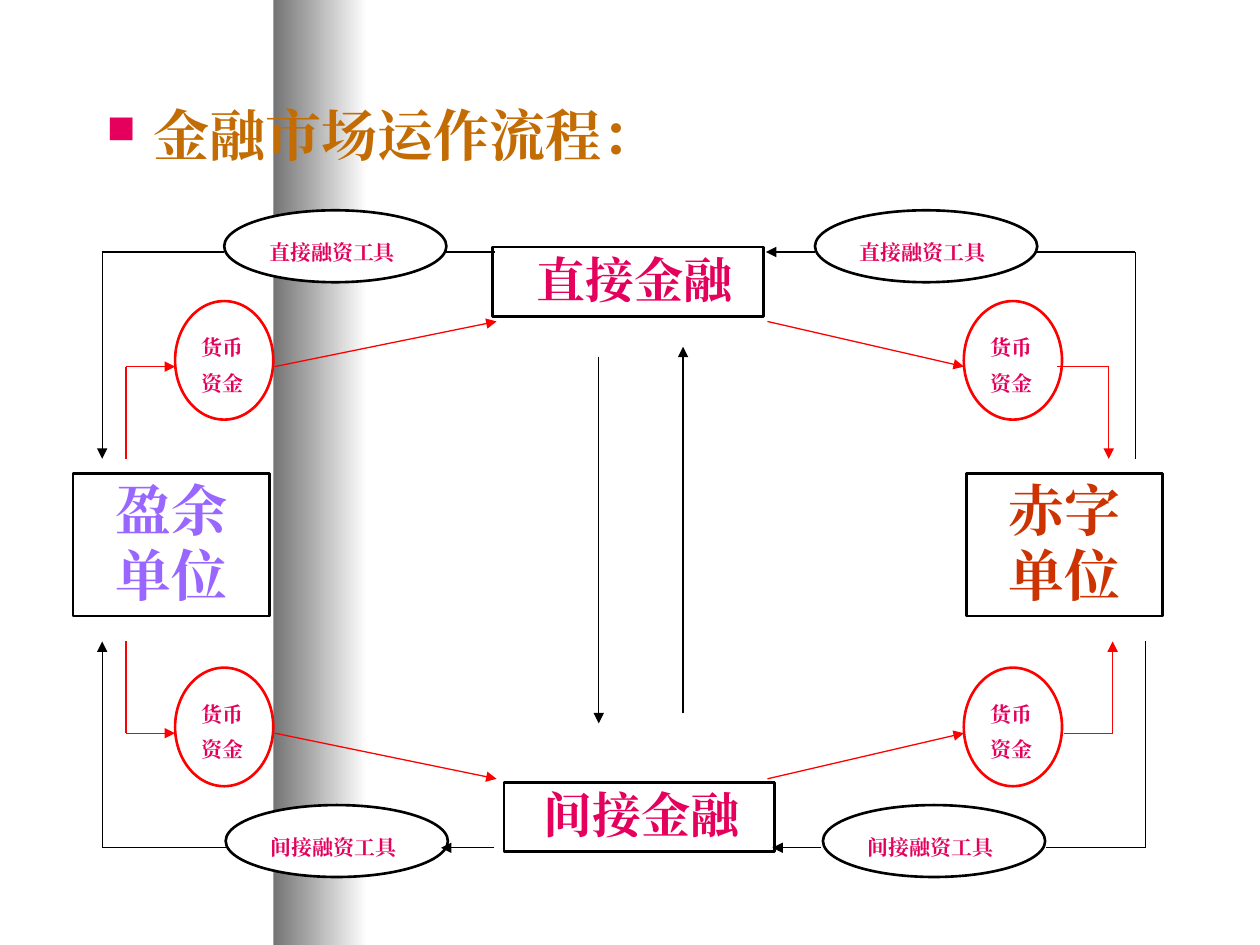
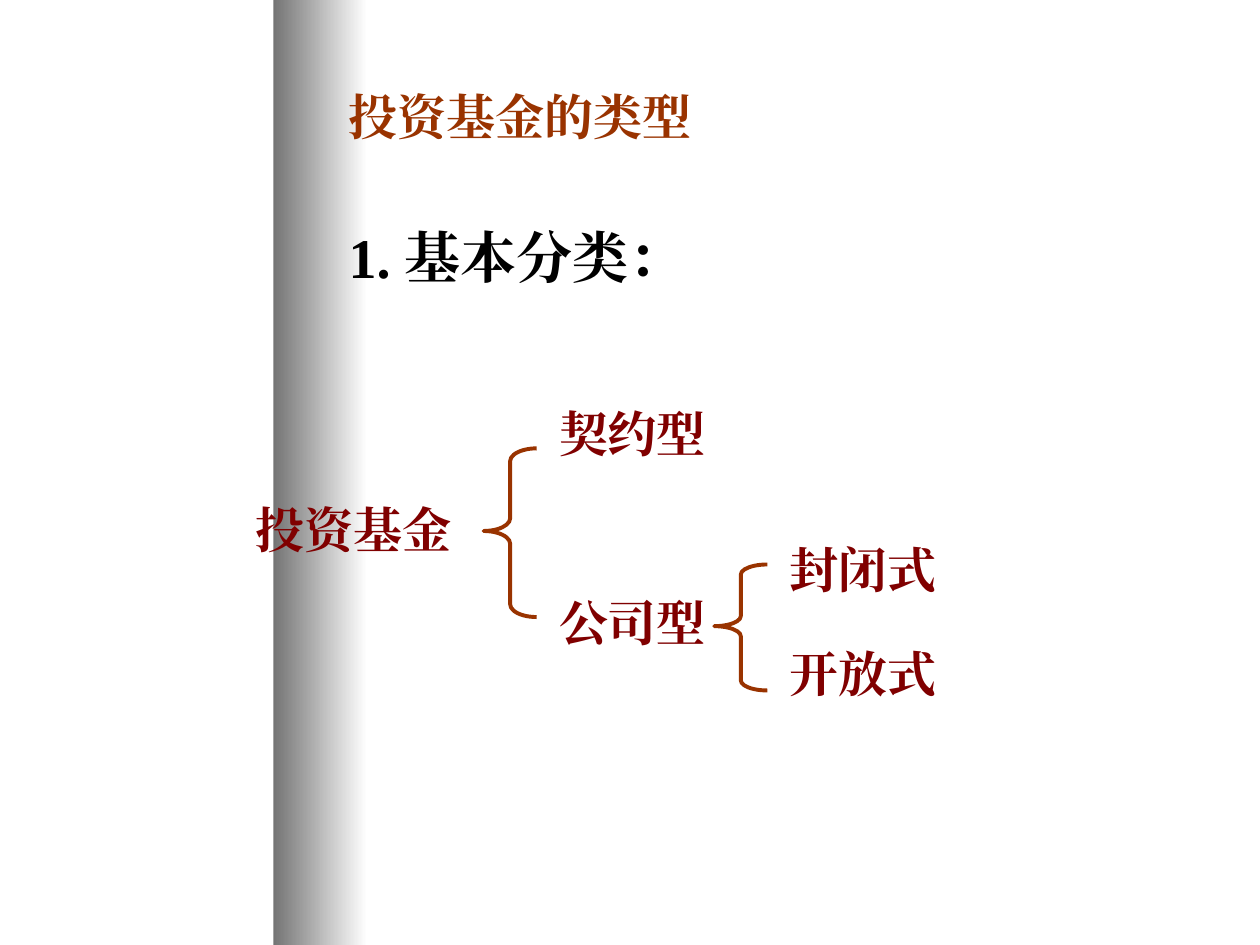
import pptx
import pptx.util
from lxml import etree
from pptx.dml.color import RGBColor
from pptx.enum.shapes import MSO_CONNECTOR, MSO_SHAPE
from pptx.enum.text import MSO_ANCHOR, PP_ALIGN
from pptx.oxml.ns import qn
from pptx.util import Cm

WHITE = RGBColor(0xFF, 0xFF, 0xFF)
BLACK = RGBColor(0x00, 0x00, 0x00)
BAND_GREY = RGBColor(0x74, 0x74, 0x74)
RED = RGBColor(0xFF, 0x00, 0x00)
PINK = RGBColor(0xE4, 0x00, 0x5C)
OCHRE = RGBColor(0xC3, 0x6C, 0x03)
VIOLET = RGBColor(0x99, 0x66, 0xFF)
BRICK = RGBColor(0xCC, 0x33, 0x00)
BROWN = RGBColor(0x99, 0x33, 0x00)
MAROON = RGBColor(0x80, 0x00, 0x00)

SERIF = "Times New Roman"
SANS = "Noto Sans CJK SC"
SLIDE_WIDTH, SLIDE_HEIGHT = 25.4, 19.05

UPPER_TOOL_Y, LOWER_TOOL_Y = 5.08, 17.09
UPPER_MONEY_Y, LOWER_MONEY_Y = 7.39, 14.78
UNIT_TOP, UNIT_BOTTOM = 9.25, 12.93


def write(frame, text, *, size, color, font=SERIF, align=PP_ALIGN.LEFT,
          spacing=None, anchor=MSO_ANCHOR.TOP, inset=0.25, bullet=None):
    """Fill a text frame, one paragraph per line of text."""
    frame.word_wrap = True
    frame.vertical_anchor = anchor
    frame.margin_left = Cm(inset)
    frame.margin_right = Cm(0.25)
    frame.margin_top = frame.margin_bottom = Cm(0.13)
    for number, line in enumerate(text.split("\n")):
        paragraph = frame.add_paragraph() if number else frame.paragraphs[0]
        paragraph.alignment = align
        if spacing:
            paragraph.line_spacing = spacing
        if bullet:
            add_bullet(paragraph, bullet)
        run = paragraph.add_run()
        run.text = line
        run.font.size = pptx.util.Pt(size)
        run.font.bold = True
        run.font.name = font
        run.font.color.rgb = color
        east_asian = etree.SubElement(run.font._element, qn("a:ea"))
        east_asian.set("typeface", SERIF)


def add_bullet(paragraph, color):
    properties = paragraph._p.get_or_add_pPr()
    properties.set("marL", str(Cm(0.95)))
    properties.set("indent", str(-Cm(0.95)))
    bullet_color = etree.SubElement(properties, qn("a:buClr"))
    etree.SubElement(bullet_color, qn("a:srgbClr")).set("val", str(color))
    etree.SubElement(properties, qn("a:buSzPct")).set("val", "70000")
    etree.SubElement(properties, qn("a:buChar")).set("char", "■")


def add_label(slide, left, top, width, height, text, **text_format):
    label = slide.shapes.add_textbox(Cm(left), Cm(top), Cm(width), Cm(height))
    write(label.text_frame, text, **text_format)


def add_node(slide, kind, left, top, width, height, text, outline=BLACK,
             **text_format):
    node = slide.shapes.add_shape(kind, Cm(left), Cm(top), Cm(width), Cm(height))
    node.shadow.inherit = False
    node.fill.solid()
    node.fill.fore_color.rgb = WHITE
    node.line.color.rgb = outline
    node.line.width = pptx.util.Pt(1.5)
    write(node.text_frame, text, **text_format)


def add_flow(slide, points, color, arrow=True):
    """Join the points with straight lines; the last may carry an arrowhead."""
    for start, end in zip(points, points[1:]):
        segment = slide.shapes.add_connector(
            MSO_CONNECTOR.STRAIGHT, *map(Cm, start), *map(Cm, end))
        segment.line.color.rgb = color
        segment.line.width = pptx.util.Pt(0.75)
        etree.SubElement(segment._element.spPr, qn("a:effectLst"))
    if arrow:
        head = etree.SubElement(segment.line._get_or_add_ln(), qn("a:tailEnd"))
        head.set("type", "triangle")


def add_brace(slide, left, top, height, curl, tip):
    brace = slide.shapes.add_shape(
        MSO_SHAPE.LEFT_BRACE, Cm(left), Cm(top), Cm(1.07), Cm(height))
    brace.shadow.inherit = False
    brace.adjustments[0] = curl
    brace.adjustments[1] = tip
    brace.fill.background()
    brace.line.color.rgb = BROWN
    brace.line.width = pptx.util.Pt(2.25)


def new_slide(deck):
    """Add a blank slide with the grey gradient band."""
    slide = deck.slides.add_slide(deck.slide_layouts[6])
    band = slide.shapes.add_shape(
        MSO_SHAPE.RECTANGLE, Cm(5.51), 0, Cm(1.9), Cm(SLIDE_HEIGHT))
    band.shadow.inherit = False
    band.line.fill.background()
    band.fill.gradient()
    band.fill.gradient_angle = 0
    for stop, position, color in zip(
            band.fill.gradient_stops, (0, 1), (BAND_GREY, WHITE)):
        stop.position = position
        stop.color.rgb = color
    return slide


def build_market_flow(deck):
    slide = new_slide(deck)
    add_label(slide, 1.9, 1.9, 21.6, 15.04, "金融市场运作流程：",
              size=32, color=OCHRE, font=SANS, bullet=PINK)

    for left, top, channel, inset in ((9.93, 4.98, "直接金融", 0.52),
                                      (10.16, 15.77, "间接金融", 0.32)):
        add_node(slide, MSO_SHAPE.RECTANGLE, left, top, 5.46, 1.4, channel,
                 size=28, color=PINK, align=PP_ALIGN.CENTER, spacing=0.96,
                 inset=inset)
    for left, unit, color in ((1.47, "盈余\n单位", VIOLET),
                              (19.48, "赤字\n单位", BRICK)):
        add_node(slide, MSO_SHAPE.RECTANGLE, left, 9.55, 3.96, 2.87, unit,
                 size=32, color=color, align=PP_ALIGN.CENTER, spacing=0.96)
    for left, top, tool in ((4.52, 4.24, "直接融资工具"),
                            (16.43, 4.24, "直接融资工具"),
                            (4.55, 16.23, "间接融资工具"),
                            (16.59, 16.23, "间接融资工具")):
        add_node(slide, MSO_SHAPE.OVAL, left, top, 4.48, 1.45, tool,
                 size=12, color=PINK, align=PP_ALIGN.JUSTIFY, spacing=1.5)
    for left in (3.53, 19.43):
        for top in (6.07, 13.46):
            add_node(slide, MSO_SHAPE.OVAL, left, top, 1.98, 2.39, "货币\n资金",
                     outline=RED, size=12, color=PINK,
                     align=PP_ALIGN.JUSTIFY, spacing=1.4)

    for tool_y, unit_y, tool_left in ((UPPER_TOOL_Y, UNIT_TOP, 4.52),
                                      (LOWER_TOOL_Y, UNIT_BOTTOM, 4.55)):
        add_flow(slide, [(tool_left, tool_y), (2.06, tool_y), (2.06, unit_y)], BLACK)
    for tool_y, unit_y, x, tool_right in ((UPPER_TOOL_Y, UNIT_TOP, 22.89, 20.9),
                                          (LOWER_TOOL_Y, UNIT_BOTTOM, 23.09, 21.08)):
        add_flow(slide, [(x, unit_y), (x, tool_y), (tool_right, tool_y)],
                 BLACK, arrow=False)
    for start, end, tool_y, arrow in ((9.98, 8.99, UPPER_TOOL_Y, False),
                                      (16.43, 15.44, UPPER_TOOL_Y, True),
                                      (9.96, 8.89, LOWER_TOOL_Y, True),
                                      (16.56, 15.57, LOWER_TOOL_Y, True)):
        add_flow(slide, [(start, tool_y), (end, tool_y)], BLACK, arrow)

    for money_y, unit_y, channel_y, money_right, deficit_x in (
            (UPPER_MONEY_Y, UNIT_TOP, 6.48, 21.31, 22.35),
            (LOWER_MONEY_Y, UNIT_BOTTOM, 15.7, 21.44, 22.43)):
        add_flow(slide, [(2.54, unit_y), (2.54, money_y), (3.53, money_y)], RED)
        add_flow(slide, [(5.54, money_y), (10.01, channel_y)], RED)
        add_flow(slide, [(15.47, channel_y), (19.43, money_y)], RED)
        add_flow(slide, [(money_right, money_y), (deficit_x, money_y),
                         (deficit_x, unit_y)], RED)

    add_flow(slide, [(12.07, 7.19), (12.07, 14.58)], BLACK)
    add_flow(slide, [(13.77, 14.38), (13.77, 6.99)], BLACK)


def build_fund_types(deck):
    slide = new_slide(deck)
    add_label(slide, 6.78, 0.64, 17.78, 3.38, "投资基金的类型",
              size=28, color=BROWN, anchor=MSO_ANCHOR.MIDDLE)
    add_label(slide, 6.78, 4.45, 17.78, 12.5, "1. 基本分类：",
              size=32, color=BLACK, spacing=0.95)
    for left, top, width, fund in ((4.9, 9.93, 4.88, "投资基金"),
                                   (11.02, 8, 3.61, "契约型"),
                                   (11.02, 11.81, 3.61, "公司型"),
                                   (15.67, 10.74, 3.61, "封闭式"),
                                   (15.67, 12.85, 3.61, "开放式")):
        add_label(slide, left, top, width, 1.45, fund, size=28, color=MAROON)
    add_brace(slide, 9.75, 9.04, 3.4, curl=0.24, tip=0.49)
    add_brace(slide, 14.4, 11.38, 2.54, curl=0.19, tip=0.49)


def main():
    deck = pptx.Presentation()
    deck.slide_width = Cm(SLIDE_WIDTH)
    deck.slide_height = Cm(SLIDE_HEIGHT)
    build_market_flow(deck)
    build_fund_types(deck)
    deck.save("out.pptx")


if __name__ == "__main__":
    main()
